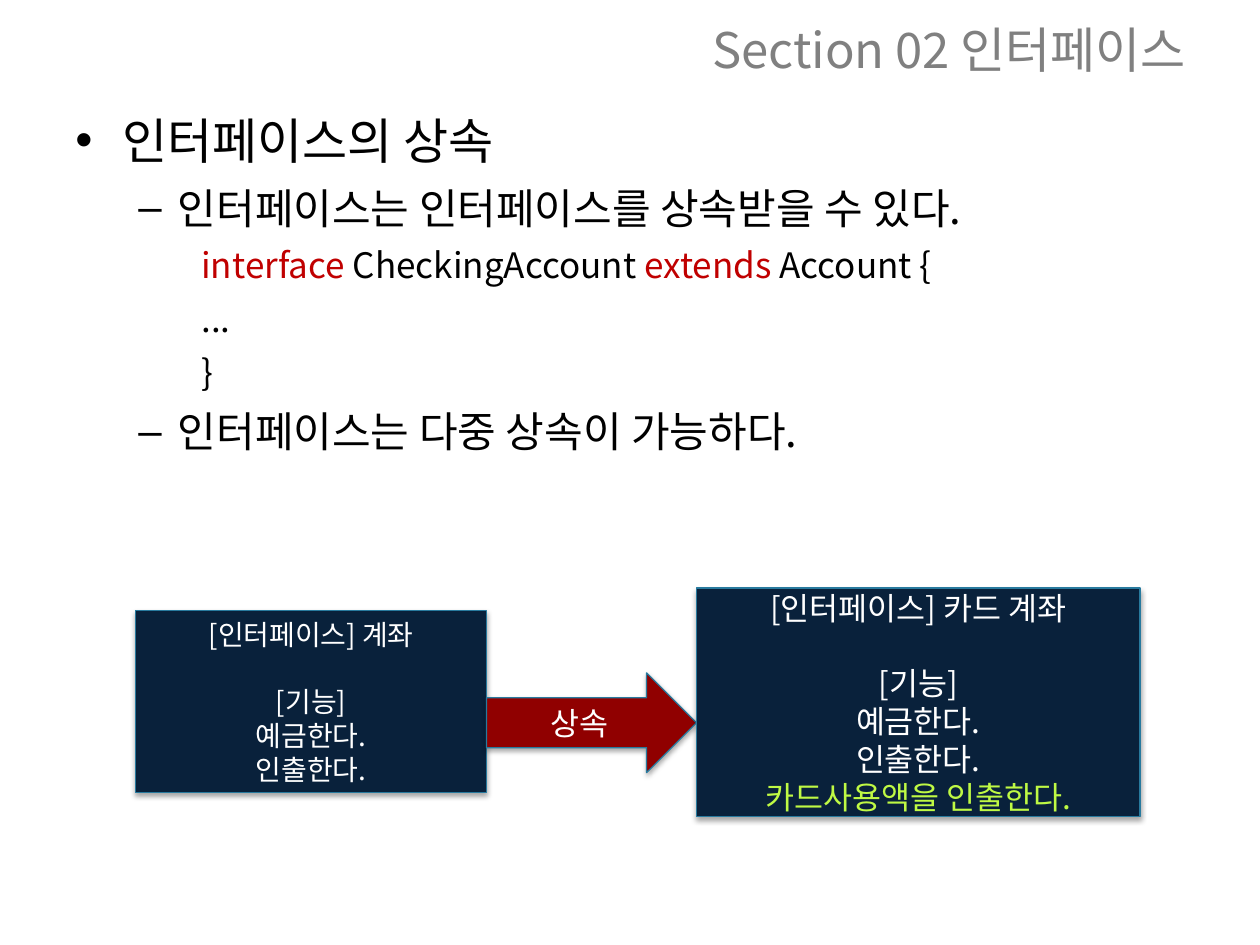
"""Build the slide on interface inheritance."""
from lxml import etree
from pptx import Presentation
from pptx.dml.color import RGBColor
from pptx.enum.shapes import MSO_SHAPE
from pptx.enum.text import MSO_ANCHOR, PP_ALIGN
from pptx.oxml.ns import qn
from pptx.util import Pt

RECTANGLE, ARROW = MSO_SHAPE.RECTANGLE, MSO_SHAPE.RIGHT_ARROW
CENTER, MIDDLE = PP_ALIGN.CENTER, MSO_ANCHOR.MIDDLE
KOREAN, LATIN = "Noto Sans CJK KR", "Calibri"
BLACK, WHITE, GRAY, RED, LIME = "000000", "FFFFFF", "808080", "C00000", "BFF944"
NAVY, DARK_RED, OUTLINE = "09213B", "900000", "287A9E"


def color(value):
    return RGBColor.from_string(value)


def add_run(paragraph, text, size, value, font_name=KOREAN):
    run = paragraph.add_run()
    run.text = text
    for name, setting in {"size": Pt(size), "name": font_name, "bold": False}.items():
        setattr(run.font, name, setting)
    run.font.color.rgb = color(value)
    east_asian = etree.SubElement(run.font._element, qn("a:ea"))
    east_asian.set("typeface", KOREAN)


presentation = Presentation()
presentation.slide_width, presentation.slide_height = Pt(720), Pt(540)
slide = presentation.slides.add_slide(presentation.slide_layouts[5])

title = slide.shapes.title
title.left, title.top, title.width, title.height = Pt(365), Pt(0), Pt(355), Pt(56)
title.text_frame.vertical_anchor = MIDDLE
title.text_frame.paragraphs[0].alignment = CENTER
add_run(title.text_frame.paragraphs[0], "Section 02 인터페이스", 28, GRAY)

body = slide.shapes.add_textbox(Pt(36), Pt(56), Pt(648), Pt(411)).text_frame
body.word_wrap = True
levels = [
    {"size": 28, "margin": 27, "indent": -27, "bullet": "•"},
    {"size": 24, "margin": 58.5, "indent": -22.5, "bullet": "–"},
    {"size": 20, "margin": 72, "indent": 0, "bullet": None},
]
outline = [
    (0, [("인터페이스의 상속", BLACK)]),
    (1, [("인터페이스는 인터페이스를 상속받을 수 있다.", BLACK)]),
    (2, [("interface ", RED), ("CheckingAccount ", BLACK),
         ("extends", RED), (" Account {", BLACK)]),
    (2, [("...", BLACK)]),
    (2, [("}", BLACK)]),
    (1, [("인터페이스는 다중 상속이 가능하다.", BLACK)]),
]
for index, (level, runs) in enumerate(outline):
    paragraph = body.add_paragraph() if index else body.paragraphs[0]
    style = levels[level]
    paragraph.level = level
    paragraph.line_spacing = 1.1
    paragraph.space_before = Pt(style["size"] * 0.2)
    properties = paragraph._p.get_or_add_pPr()
    properties.set("marL", str(Pt(style["margin"])))
    properties.set("indent", str(Pt(style["indent"])))
    if style["bullet"]:
        font = etree.SubElement(properties, qn("a:buFont"))
        font.set("typeface", "Arial")
        bullet = etree.SubElement(properties, qn("a:buChar"))
        bullet.set("char", style["bullet"])
    for text, value in runs:
        add_run(paragraph, text, style["size"], value)

account = [("[기능]", WHITE), ("예금한다.", WHITE), ("인출한다.", WHITE)]
diagram = [
    (RECTANGLE, (77.5, 349, 200.5, 104), NAVY, 16, KOREAN,
     [("[인터페이스] 계좌", WHITE)] + account),
    (ARROW, (278, 384.5, 120, 57), DARK_RED, 18, LATIN, [("상속", WHITE)]),
    (RECTANGLE, (398, 336, 253.5, 130.5), NAVY, 18, KOREAN,
     [("[인터페이스] 카드 계좌", WHITE)] + account + [("카드사용액을 인출한다.", LIME)]),
]
for kind, place, fill, size, font_name, lines in diagram:
    shape = slide.shapes.add_shape(kind, *map(Pt, place))
    shape.fill.solid()
    shape.fill.fore_color.rgb = color(fill)
    shape.line.color.rgb = color(OUTLINE)
    shape.line.width = Pt(0.75)
    shape.shadow.inherit = False
    effects = shape._element.spPr.find(qn("a:effectLst"))
    shadow = etree.SubElement(effects, qn("a:outerShdw"), blurRad=str(Pt(3.1)),
                              dist=str(Pt(1.8)), dir="5400000", rotWithShape="0")
    shade = etree.SubElement(shadow, qn("a:srgbClr"), val=BLACK)
    etree.SubElement(shade, qn("a:alpha"), val="35000")
    frame = shape.text_frame
    frame.word_wrap = True
    frame.vertical_anchor = MIDDLE
    for index, (text, value) in enumerate(lines):
        paragraph = frame.add_paragraph() if index else frame.paragraphs[0]
        paragraph.alignment = CENTER
        if index == 1:
            paragraph.space_before = Pt(size * 1.2)
        add_run(paragraph, text, size, value, font_name)

presentation.save("out.pptx")
